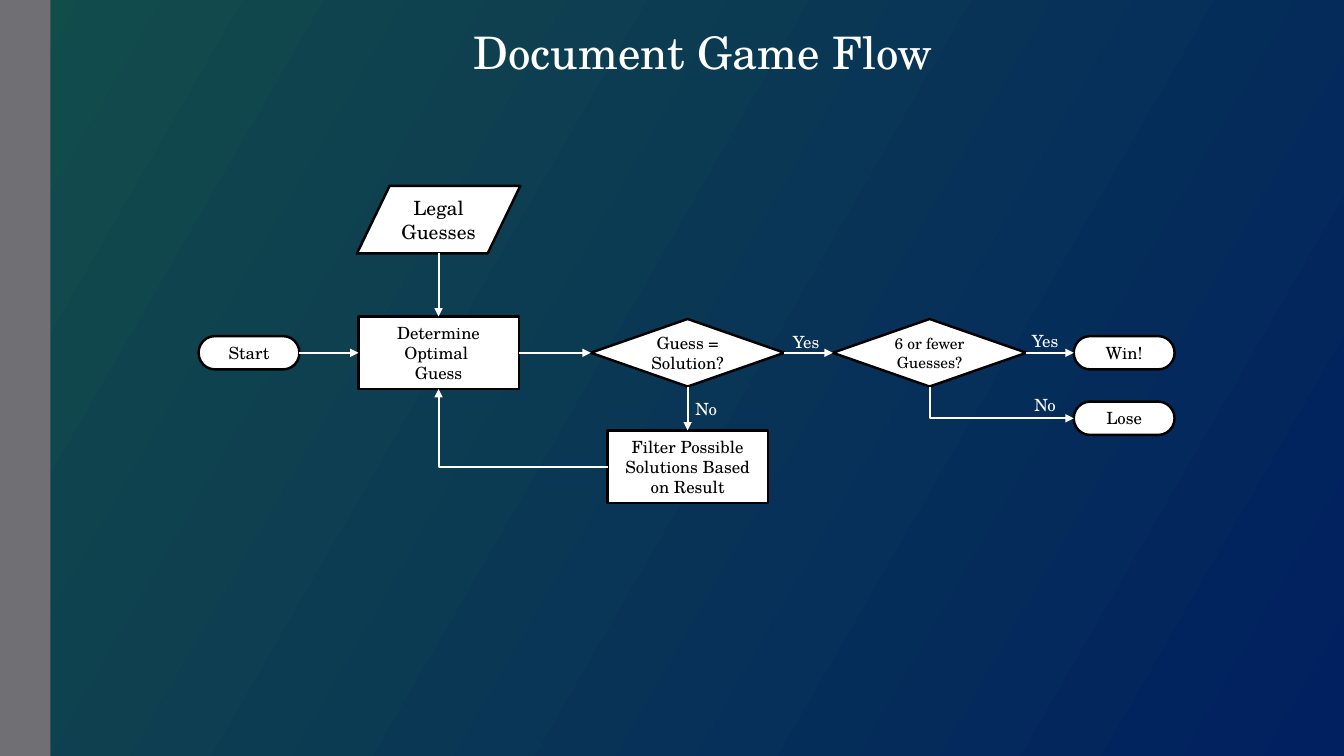
from lxml.etree import SubElement
from pptx import Presentation
from pptx.dml.color import RGBColor
from pptx.enum.shapes import MSO_CONNECTOR as LINE, MSO_SHAPE as SHAPE
from pptx.enum.text import MSO_ANCHOR as ANCHOR, MSO_AUTO_SIZE as FIT, PP_ALIGN as ALIGN
from pptx.oxml.ns import qn
from pptx.util import Pt

SCALE = 9144
FONT = "TeX Gyre Schola"
COLORS = {"navy": "002060", "green": "134D4A", "bar": "6F6F74",
          "white": "FFFFFF", "black": "000000"}
TOP, LEFT, BOTTOM, RIGHT = range(4)
MAIN_ROW, LOSE_ROW, FILTER_ROW, DATA_ROW = 350, 415, 463, 218
START_X, GUESS_X, SOLUTION_X, COUNT_X, RESULT_X = 247, 435, 682, 922, 1115
SIZES = {SHAPE.FLOWCHART_PROCESS: (159, 72), SHAPE.FLOWCHART_DECISION: (192, 67),
         SHAPE.FLOWCHART_TERMINATOR: (100, 33), SHAPE.FLOWCHART_DATA: (162, 67)}


def px(length):
    return round(length * SCALE)


def color(name):
    return RGBColor.from_string(COLORS[name])


def write(frame, lines, size, ink, spacing=None):
    frame.word_wrap = True
    frame.text = lines
    for paragraph in frame.paragraphs:
        paragraph.alignment = ALIGN.CENTER
        paragraph.line_spacing = spacing
        for run in paragraph.runs:
            run.font.name = FONT
            run.font.size = Pt(size)
            run.font.color.rgb = color(ink)


def paint_background(slide):
    fill = slide.background.fill
    fill.gradient()
    fill.gradient_angle = 150
    for stop, name in zip(fill.gradient_stops, ("navy", "green")):
        stop.color.rgb = color(name)


def add_side_bar(slide):
    bar = slide.shapes.add_shape(SHAPE.RECTANGLE, 0, 0, px(50), px(750))
    bar.shadow.inherit = False
    bar.fill.solid()
    bar.fill.fore_color.rgb = color("bar")
    bar.line.fill.background()


def add_title(slide, wording):
    title = slide.shapes.title
    title.left, title.top, title.width, title.height = map(px, (423, 19, 549, 64))
    title.text_frame.vertical_anchor = ANCHOR.TOP
    write(title.text_frame, wording, 32, "white")


def add_step(slide, kind, center_x, center_y, wording, size=12):
    width, height = SIZES[kind]
    step = slide.shapes.add_shape(kind, px(center_x - width / 2), px(center_y - height / 2),
                                  px(width), px(height))
    step.shadow.inherit = False
    step.fill.solid()
    step.fill.fore_color.rgb = color("white")
    step.line.color.rgb = color("black")
    step.line.width = Pt(1.75)
    step.text_frame.vertical_anchor = ANCHOR.MIDDLE
    write(step.text_frame, wording, size, "black")
    return step


def add_answer(slide, left, top, wording):
    answer = slide.shapes.add_textbox(px(left), px(top), px(75), px(36))
    answer.text_frame.auto_size = FIT.SHAPE_TO_FIT_TEXT
    write(answer.text_frame, wording, 12, "white", 1.5)


def add_arrow(slide, kind, begin, end):
    arrow = slide.shapes.add_connector(kind, *map(px, begin + end))
    arrow.line.color.rgb = color("white")
    arrow.line.width = Pt(1.5)
    SubElement(arrow.line._get_or_add_ln(), qn("a:tailEnd"), type="triangle")
    SubElement(arrow._element.spPr, qn("a:effectLst"))
    return arrow


def link(slide, source, source_side, target, target_side):
    arrow = add_arrow(slide, LINE.STRAIGHT, (0, 0), (0, 0))
    arrow.begin_connect(source, source_side)
    arrow.end_connect(target, target_side)


def add_elbow(slide, begin, end, down_first=False):
    if down_first:
        middle_x, middle_y = (begin[0] + end[0]) / 2, (begin[1] + end[1]) / 2
        half_run, half_drop = (end[0] - begin[0]) / 2, (end[1] - begin[1]) / 2
        begin = (middle_x + half_drop, middle_y - half_run)
        end = (middle_x - half_drop, middle_y + half_run)
    elbow = add_arrow(slide, LINE.ELBOW, begin, end)
    properties = elbow._element.spPr
    properties.find(qn("a:prstGeom")).set("prst", "bentConnector2")
    if down_first:
        properties.find(qn("a:xfrm")).set("rot", str(270 * 60000))


def main():
    deck = Presentation()
    deck.slide_width, deck.slide_height = px(1333), px(750)
    slide = deck.slides.add_slide(deck.slide_layouts[5])
    paint_background(slide)
    add_side_bar(slide)
    add_title(slide, "Document Game Flow")

    start = add_step(slide, SHAPE.FLOWCHART_TERMINATOR, START_X, MAIN_ROW, "Start")
    add_step(slide, SHAPE.FLOWCHART_DATA, GUESS_X, DATA_ROW, "Legal Guesses", 14)
    guess = add_step(slide, SHAPE.FLOWCHART_PROCESS, GUESS_X, MAIN_ROW,
                     "Determine Optimal \nGuess")
    solution = add_step(slide, SHAPE.FLOWCHART_DECISION, SOLUTION_X, MAIN_ROW,
                        "Guess = Solution?")
    filtering = add_step(slide, SHAPE.FLOWCHART_PROCESS, SOLUTION_X, FILTER_ROW,
                         "Filter Possible Solutions Based on Result")
    count = add_step(slide, SHAPE.FLOWCHART_DECISION, COUNT_X, MAIN_ROW,
                     "6 or fewer Guesses?", 11)
    win = add_step(slide, SHAPE.FLOWCHART_TERMINATOR, RESULT_X, MAIN_ROW, "Win!")
    add_step(slide, SHAPE.FLOWCHART_TERMINATOR, RESULT_X, LOSE_ROW, "Lose")

    for source, target in ((start, guess), (guess, solution), (solution, count), (count, win)):
        link(slide, source, RIGHT, target, LEFT)
    link(slide, solution, BOTTOM, filtering, TOP)
    legal_arrow = add_arrow(slide, LINE.STRAIGHT, (GUESS_X, 251), (GUESS_X, 314))
    legal_arrow.end_connect(guess, TOP)
    add_elbow(slide, (603, FILTER_ROW), (GUESS_X, 386))
    add_elbow(slide, (COUNT_X, 384), (1065, LOSE_ROW), down_first=True)

    for left, top, wording in ((762, 314, "Yes"), (663, 381, "No"),
                               (999, 313, "Yes"), (999, 377, "No")):
        add_answer(slide, left, top, wording)
    deck.save("out.pptx")


if __name__ == "__main__":
    main()
